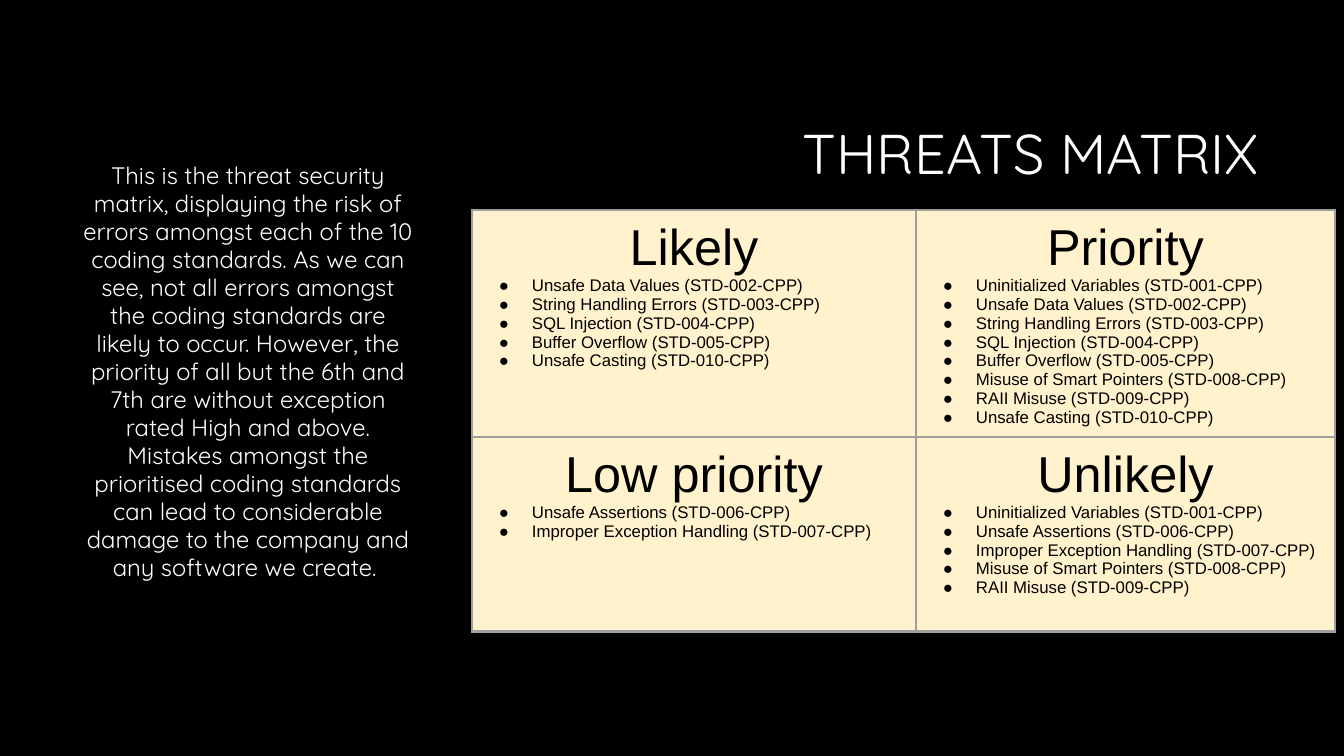
import pptx
import pptx.util
import pptx.dml.color
import pptx.enum.text
import pptx.oxml
import pptx.oxml.ns

RGB = pptx.dml.color.RGBColor
ALIGN = pptx.enum.text.PP_ALIGN
ANCHOR = pptx.enum.text.MSO_ANCHOR

BLACK = RGB(0x00, 0x00, 0x00)
WHITE = RGB(0xFF, 0xFF, 0xFF)
CREAM = RGB(0xFF, 0xF2, 0xCC)
GREY = RGB(0x9E, 0x9E, 0x9E)

RULES = {
    1: "Uninitialized Variables",
    2: "Unsafe Data Values",
    3: "String Handling Errors",
    4: "SQL Injection",
    5: "Buffer Overflow",
    6: "Unsafe Assertions",
    7: "Improper Exception Handling",
    8: "Misuse of Smart Pointers",
    9: "RAII Misuse",
    10: "Unsafe Casting",
}
MATRIX = [
    [("Likely", [2, 3, 4, 5, 10]), ("Priority", [1, 2, 3, 4, 5, 8, 9, 10])],
    [("Low priority", [6, 7]), ("Unlikely", [1, 6, 7, 8, 9])],
]
STORY = (
    "This is the threat security matrix, displaying the risk of errors "
    "amongst each of the 10 coding standards. As we can see, not all errors "
    "amongst the coding standards are likely to occur. However, the priority "
    "of all but the 6th and 7th are without exception rated High and above. "
    "Mistakes amongst the prioritised coding standards can lead to "
    "considerable damage to the company and any software we create. "
)


def px(count):
    return pptx.util.Emu(round(count * 914400 / 100.8))


def add_xml(parent, body):
    """Append one DrawingML element, given without its namespace."""
    tag, rest = body[:body.index(" ")], body[body.index(" "):]
    space = pptx.oxml.ns.nsdecls("a")
    parent.append(pptx.oxml.parse_xml(f"<{tag} {space}{rest}"))


def write(par, text, font="Arial", size=12, color=BLACK, align=ALIGN.LEFT,
          lead=None, left=0, hang=0, bullet=None):
    run = par.add_run()
    run.text = text
    run.font.name = font
    run.font.size = pptx.util.Pt(size)
    run.font.color.rgb = color
    par.alignment = align
    par.space_before = pptx.util.Pt(0)
    if lead:
        par.line_spacing = lead
    props = par._p.get_or_add_pPr()
    props.set("marL", str(px(left)))
    props.set("indent", str(-px(hang)))
    if bullet:
        add_xml(props, f'a:buClr ><a:srgbClr val="{color}"/></a:buClr>')
        add_xml(props, f'a:buFont typeface="{font}"/>')
        add_xml(props, f'a:buChar char="{bullet}"/>')
    else:
        add_xml(props, "a:buNone />")


class Deck:
    """Style and current slide."""

    font = "Quicksand"
    ink = WHITE

    def __init__(self):
        self.show = pptx.Presentation()
        self.show.slide_width = px(1344)
        self.show.slide_height = px(756)
        self.slide = self.show.slides.add_slide(self.show.slide_layouts[1])
        fill = self.slide.background.fill
        fill.solid()
        fill.fore_color.rgb = BLACK

    def place(self, holder, text, box, anchor, **style):
        """Move a placeholder to box and fill it with one paragraph."""
        holder.left, holder.top, holder.width, holder.height = map(px, box)
        frame = holder.text_frame
        frame.word_wrap = True
        frame.auto_size = pptx.enum.text.MSO_AUTO_SIZE.NONE
        frame.vertical_anchor = anchor
        write(frame.paragraphs[0], text, font=self.font, color=self.ink, **style)

    def title(self, text, box):
        self.place(self.slide.shapes.title, text, box, ANCHOR.MIDDLE,
                   size=40, align=ALIGN.RIGHT, lead=0.9)

    def body(self, text, box):
        self.place(self.slide.placeholders[1], text, box, ANCHOR.TOP,
                   size=17, align=ALIGN.CENTER, lead=0.98, left=25)

    def cell(self, cell, head, codes):
        cell.margin_left = cell.margin_right = px(10)
        cell.margin_top = cell.margin_bottom = px(10)
        props = cell._tc.get_or_add_tcPr()
        for side in "LRTB":
            add_xml(props, f'a:ln{side} w="{pptx.util.Pt(2.25)}"><a:solidFill>'
                           f'<a:srgbClr val="{GREY}"/></a:solidFill></a:ln{side}>')
        cell.fill.solid()
        cell.fill.fore_color.rgb = CREAM
        frame = cell.text_frame
        write(frame.paragraphs[0], head, size=36, align=ALIGN.CENTER)
        for code in codes:
            write(frame.add_paragraph(), f"{RULES[code]} (STD-{code:03}-CPP)",
                  left=50, hang=33, bullet="●")

    def table(self, rows, left, top, widths, height):
        box = map(px, (left, top, sum(widths), height * len(rows)))
        table = self.slide.shapes.add_table(len(rows), len(widths), *box).table
        table.first_row = table.horz_banding = False
        for col, width in zip(table.columns, widths):
            col.width = px(width)
        for r, row in enumerate(rows):
            for c, (head, codes) in enumerate(row):
                self.cell(table.cell(r, c), head, codes)


def main():
    deck = Deck()
    deck.title("THREATS MATRIX", (320, 85, 949, 142))
    deck.body(STORY, (46, 157, 379, 541))
    deck.table(MATRIX, 472, 210, (444, 419), 195)
    deck.show.save("out.pptx")


if __name__ == "__main__":
    main()
